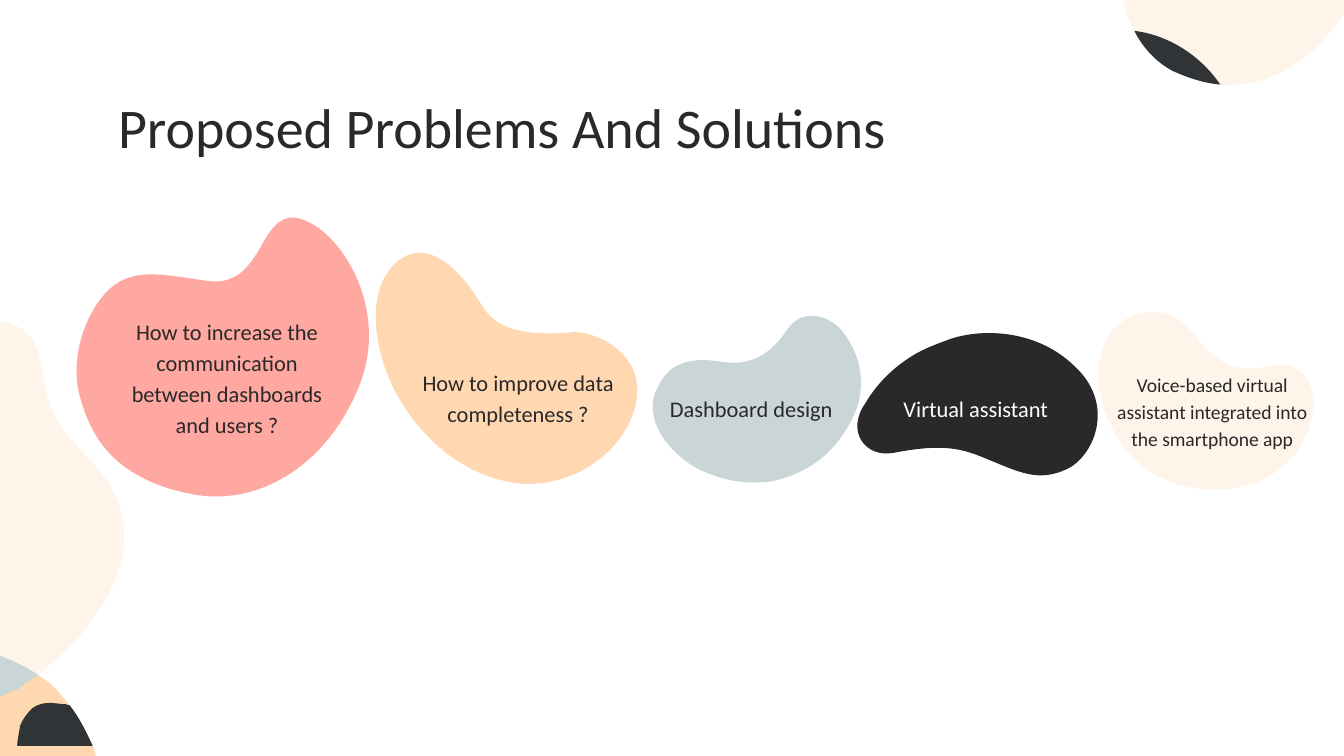
import lxml.etree
import pptx
import pptx.dml.color
import pptx.enum.text
import pptx.oxml.ns
import pptx.util

Inches = pptx.util.Inches
FONT = "Calibri"
INK, CHARCOAL, WHITE = "2A2828", "303437", "FFFFFF"
CREAM, PEACH, PINK, MIST = "FEF4EA", "FFD8B1", "FFA8A1", "CAD5D7"

# An outline is a start point followed by segments, in inches from its origin:
# two numbers make a straight line, six numbers make a cubic curve.
TOP_RIGHT_SHAPES = [
    (CREAM, [(1.15, 0.63), (1.78, 0.63, 2.09, -0.06, 2.09, -0.06), (0.35, -0.06),
             (0.36, 0.04, 0.39, 0.14, 0.44, 0.23), (0.69, 0.26, 0.93, 0.41, 1.08, 0.63),
             (1.1, 0.63, 1.13, 0.63, 1.15, 0.63)]),
    (CHARCOAL, [(1.08, 0.63), (0.93, 0.41, 0.69, 0.26, 0.44, 0.23),
                (0.55, 0.45, 0.73, 0.53, 0.73, 0.53), (0.84, 0.58, 0.96, 0.62, 1.08, 0.63)]),
]
BOTTOM_LEFT_SHAPES = [
    (CREAM, [(-0.13, 0.36), (-0.13, 2.84), (0.01, 2.88, 0.16, 2.94, 0.28, 3.02),
             (0.75, 2.66, 1.19, 2.03, 0.73, 1.49), (0.64, 1.38, 0.53, 1.29, 0.45, 1.17),
             (0.37, 1.06, 0.34, 0.92, 0.32, 0.78), (0.31, 0.7, 0.29, 0.61, 0.24, 0.53),
             (0.2, 0.46, 0.14, 0.43, 0.05, 0.4), (0.04, 0.4, -0.08, 0.36, -0.13, 0.36)]),
    (PEACH, [(-0.23, 2.81), (-0.23, 3.79), (0.74, 3.79),
             (0.73, 3.71, 0.72, 3.62, 0.69, 3.55), (0.64, 3.44, 0.59, 3.34, 0.52, 3.25),
             (0.48, 3.2, 0.44, 3.15, 0.39, 3.1), (0.36, 3.07, 0.32, 3.05, 0.28, 3.02),
             (0.16, 2.94, 0.01, 2.88, -0.11, 2.84), (-0.15, 2.83, -0.19, 2.82, -0.23, 2.81)]),
    (MIST, [(-0.13, 2.83), (-0.13, 3.23), (-0.09, 3.23, 0.11, 3.13, 0.13, 3.13),
            (0.18, 3.09, 0.23, 3.06, 0.28, 3.02), (0.16, 2.94, 0.01, 2.88, -0.13, 2.83)]),
    (CHARCOAL, [(0.37, 3.23), (0.33, 3.23, 0.28, 3.24, 0.24, 3.27),
                (0.2, 3.31, 0.17, 3.35, 0.15, 3.4), (0.15, 3.41, 0.12, 3.55, 0.13, 3.55),
                (0.69, 3.55), (0.64, 3.44, 0.59, 3.34, 0.52, 3.25),
                (0.51, 3.25, 0.5, 3.24, 0.49, 3.24), (0.45, 3.24, 0.41, 3.23, 0.37, 3.23)]),
]

PINK_BLOB = [
    (0.41, 1.96), (0.53, 2.05, 0.69, 2.13, 0.9, 2.17), (1.37, 2.28, 1.91, 2.01, 2.17, 1.38),
    (2.37, 0.89, 2.14, 0.41, 1.89, 0.21), (1.82, 0.16, 1.76, 0.13, 1.7, 0.12),
    (1.42, 0.09, 1.46, 0.65, 1.04, 0.59), (0.63, 0.53, 0.41, 0.47, 0.21, 0.78),
    (0.06, 1.02, 0.05, 1.28, 0.09, 1.43), (0.14, 1.63, 0.23, 1.82, 0.41, 1.96)]
PEACH_BLOB = [
    (0.42, 0.08), (0.36, 0.08, 0.29, 0.11, 0.23, 0.17), (0.05, 0.36, 0.08, 0.67, 0.15, 0.89),
    (0.25, 1.24, 0.58, 1.66, 1.02, 1.77), (1.09, 1.79, 1.16, 1.8, 1.23, 1.8),
    (1.59, 1.8, 1.92, 1.57, 2.02, 1.25), (2.14, 0.84, 1.74, 0.67, 1.57, 0.67),
    (1.5, 0.68, 1.44, 0.68, 1.38, 0.68), (1.2, 0.68, 0.99, 0.65, 0.89, 0.48),
    (0.75, 0.24, 0.58, 0.08, 0.42, 0.08)]
MIST_BLOB = [
    (1.34, 0.05), (1.27, 0.05, 1.21, 0.08, 1.16, 0.15), (1.04, 0.33, 0.91, 0.4, 0.75, 0.4),
    (0.7, 0.4, 0.62, 0.38, 0.53, 0.38), (0.41, 0.38, 0.27, 0.41, 0.19, 0.59),
    (0.06, 0.85, 0.34, 1.13, 0.54, 1.21), (0.63, 1.25, 0.76, 1.29, 0.9, 1.29),
    (0.96, 1.29, 1.02, 1.29, 1.09, 1.27), (1.31, 1.21, 1.5, 1.09, 1.64, 0.82),
    (1.77, 0.56, 1.69, 0.33, 1.58, 0.18), (1.53, 0.11, 1.44, 0.05, 1.34, 0.05)]
INK_BLOB = [
    (0.52, 0.23), (0.38, 0.31, 0.24, 0.43, 0.14, 0.6), (-0.01, 0.81, 0.14, 1.01, 0.35, 0.97),
    (0.67, 0.91, 0.82, 0.92, 1.03, 1.01), (1.28, 1.11, 1.43, 1.2, 1.66, 1.08),
    (1.85, 0.97, 2, 0.6, 1.69, 0.32), (1.42, 0.06, 1.03, 0.04, 0.78, 0.12),
    (0.7, 0.15, 0.61, 0.18, 0.52, 0.23)]
CREAM_BLOB = [
    (1.59, 0.48), (1.54, 0.43, 1.47, 0.4, 1.38, 0.42), (1.16, 0.47, 1.01, 0.43, 0.89, 0.31),
    (0.85, 0.28, 0.8, 0.2, 0.74, 0.14), (0.65, 0.05, 0.52, -0.02, 0.33, 0.05),
    (0.03, 0.16, 0.04, 0.57, 0.13, 0.78), (0.17, 0.88, 0.23, 1.01, 0.34, 1.11),
    (0.38, 1.16, 0.43, 1.19, 0.49, 1.23), (0.71, 1.34, 0.94, 1.39, 1.24, 1.29),
    (1.53, 1.18, 1.64, 0.95, 1.67, 0.75), (1.69, 0.67, 1.66, 0.55, 1.59, 0.48)]

# origin, fill, outline, text box (left, top, width from origin), text, size, text colour
IDEAS = [
    ((0.5, 1.5), PINK, PINK_BLOB, (0.36, 0.74, 1.66),
     "How to increase the communication between dashboards and users ?", 12, INK),
    ((2.7, 1.8), PEACH, PEACH_BLOB, (0.28, 0.82, 1.75),
     "How to improve data completeness ?", 12, INK),
    ((4.7, 2.3), MIST, MIST_BLOB, (0.08, 0.51, 1.66), "Dashboard design ", 12, INK),
    ((6.3, 2.4), INK, INK_BLOB, (0.15, 0.41, 1.66), "Virtual assistant ", 12, WHITE),
    ((8.1, 2.3), CREAM, CREAM_BLOB, (0.09, 0.35, 1.66),
     "Voice-based virtual assistant integrated into the smartphone app", 10.5, INK),
]


def rgb(color):
    return pptx.dml.color.RGBColor.from_string(color)


def pairs(numbers):
    return list(zip(numbers[::2], numbers[1::2]))


def sample_outline(outline, steps=12):
    """Return points along the outline, which give the shape its true bounds."""
    points = [outline[0]]
    for segment in outline[1:]:
        if len(segment) == 2:
            points.append(segment)
            continue
        controls = [points[-1]] + pairs(segment)
        for step in range(1, steps + 1):
            t = step / steps
            weights = ((1 - t) ** 3, 3 * t * (1 - t) ** 2, 3 * t * t * (1 - t), t ** 3)
            points.append(tuple(sum(w * point[axis] for w, point in zip(weights, controls))
                                for axis in (0, 1)))
    return points


def add_curved_shape(slide, left, top, outline, color):
    """Build a freeform with true bounds, then give it cubic curves."""
    def place(point):
        return Inches(left + point[0]), Inches(top + point[1])

    vertices = [place(point) for point in sample_outline(outline)]
    builder = slide.shapes.build_freeform(*vertices[0], scale=1.0)
    builder.add_line_segments(vertices[1:], close=True)
    shape = builder.convert_to_shape()
    shape.shadow.inherit = False
    shape.fill.solid()
    shape.fill.fore_color.rgb = rgb(color)
    shape.line.fill.background()

    qn = pptx.oxml.ns.qn
    contour = shape.element.find(".//" + qn("a:path"))
    for child in list(contour):
        contour.remove(child)
    for index, segment in enumerate(outline):
        tag = "a:moveTo" if index == 0 else "a:lnTo" if len(segment) == 2 else "a:cubicBezTo"
        command = lxml.etree.SubElement(contour, qn(tag))
        for point in pairs(segment):
            x, y = place(point)
            lxml.etree.SubElement(command, qn("a:pt"),
                                  x=str(x - shape.left), y=str(y - shape.top))
    lxml.etree.SubElement(contour, qn("a:close"))


def add_text(slide, left, top, width, height, text, size, color):
    box = slide.shapes.add_textbox(Inches(left), Inches(top), Inches(width), Inches(height))
    frame = box.text_frame
    frame.word_wrap = True
    frame.margin_left = frame.margin_right = Inches(0.1)
    frame.margin_top = frame.margin_bottom = Inches(0.1)
    paragraph = frame.paragraphs[0]
    paragraph.text = text
    paragraph.font.name = FONT
    paragraph.font.size = pptx.util.Pt(size)
    paragraph.font.color.rgb = rgb(color)
    return paragraph


def add_corner(slide, left, top, shapes):
    for color, outline in shapes:
        add_curved_shape(slide, left, top, outline, color)


def add_idea(slide, left, top, color, outline, text_box, text, size, text_color):
    add_curved_shape(slide, left, top, outline, color)
    text_left, text_top, text_width = text_box
    paragraph = add_text(slide, left + text_left, top + text_top, text_width, 0.48,
                         text, size, text_color)
    paragraph.alignment = pptx.enum.text.PP_ALIGN.CENTER
    paragraph.line_spacing = 1.15
    paragraph.space_after = pptx.util.Pt(16)


def main():
    presentation = pptx.Presentation()
    presentation.slide_width = Inches(10)
    presentation.slide_height = Inches(10) * 9 // 16
    slide = presentation.slides.add_slide(presentation.slide_layouts[6])
    add_corner(slide, 8, 0, TOP_RIGHT_SHAPES)
    add_corner(slide, 0, 2, BOTTOM_LEFT_SHAPES)
    add_text(slide, 0.78, 0.59, 8.31, 0.6, "Proposed Problems And Solutions", 30, INK)
    for origin, *idea in IDEAS:
        add_idea(slide, *origin, *idea)
    presentation.save("out.pptx")


if __name__ == "__main__":
    main()
